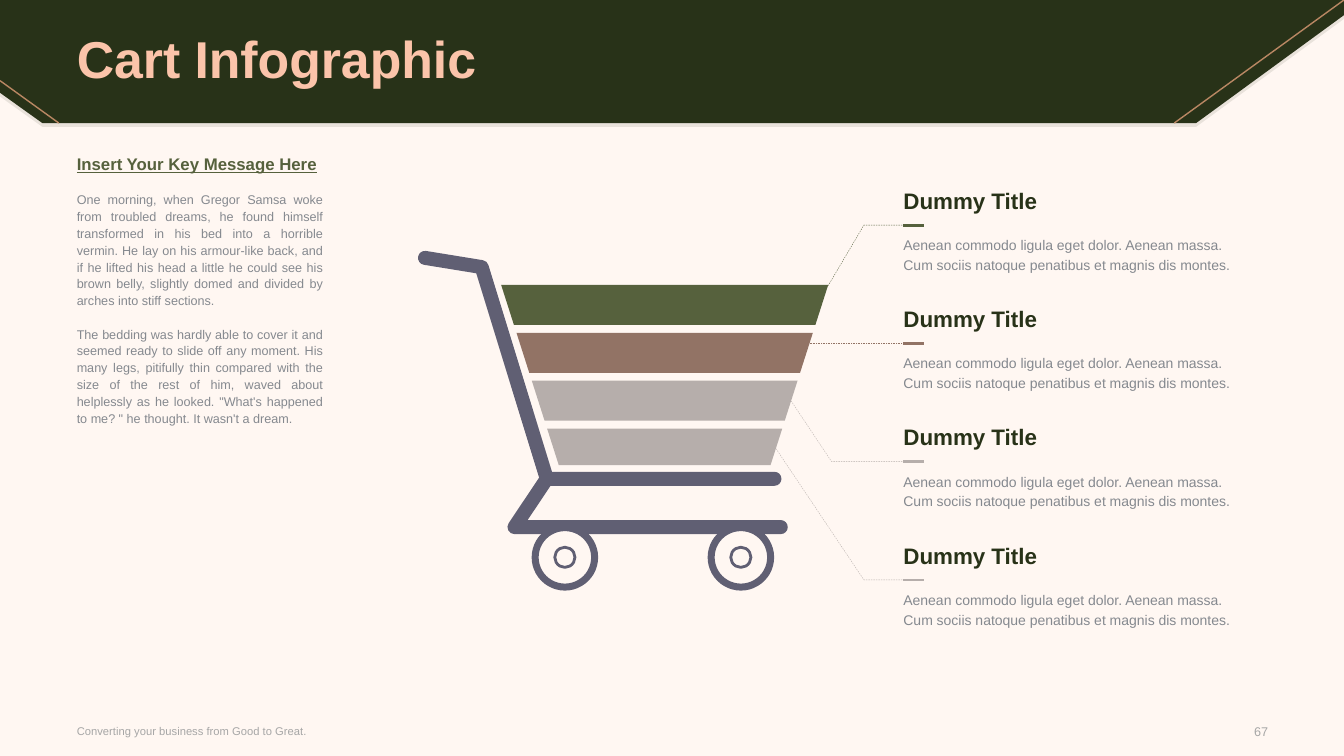
"""Build the cart infographic slide on a grid of 160 columns by 90 rows."""
from dataclasses import dataclass

from lxml.etree import SubElement
from pptx import Presentation
from pptx.dml.color import RGBColor
from pptx.enum.dml import MSO_LINE
from pptx.enum.shapes import MSO_CONNECTOR, MSO_SHAPE
from pptx.enum.text import MSO_ANCHOR, PP_ALIGN
from pptx.oxml.ns import qn
from pptx.util import Emu, Inches, Pt

COLS, ROWS = 160, 90
CELL = Inches(7.5) / ROWS

CREAM = RGBColor(0xFF, 0xF7, 0xF2)
FOREST = RGBColor(0x28, 0x32, 0x18)
PEACH = RGBColor(0xFB, 0xC4, 0xAA)
COPPER = RGBColor(0xB9, 0x87, 0x63)
MOSS = RGBColor(0x56, 0x61, 0x3D)
CLAY = RGBColor(0x92, 0x73, 0x65)
STONE = RGBColor(0xB6, 0xAE, 0xAB)
SLATE = RGBColor(0x60, 0x5F, 0x73)
GREY = RGBColor(0x85, 0x89, 0x8F)
PALE = RGBColor(0xA6, 0xA6, 0xA6)

Point = tuple[float, float]


@dataclass
class Style:
    size: float
    color: RGBColor
    bold: bool = False
    under: bool = False
    align: PP_ALIGN = PP_ALIGN.LEFT
    lead: float | Pt | None = None
    gap: float = 0


@dataclass
class Item:
    color: RGBColor
    deep: float
    bends: list[Point]


@dataclass
class Ring:
    radius: float
    weight: float


LEFT = 9.14
RULE, PITCH = 26.8, 14.08
TEXT_X, TEXT_W = 107.55, 44.3
LEAD_X = 109.5
BAND_Y, BAND_STEP, SLOPE = 33.93, 5.7, 0.32
BAND_L, BAND_R = 59.67, 98.6

ITEMS = [
    Item(MOSS, 4.76, [(102.85, 0), (98.6, 7.2)]),
    Item(CLAY, 4.76, [(96.4, 0)]),
    Item(STONE, 4.76, [(99, 0), (94.2, -7.2)]),
    Item(STONE, 4.35, [(102.85, 0), (92.4, -15.6)]),
]
FRAME = [
    [(50.6, 30.7), (57.35, 31.8), (65.1, 57), (92.2, 57)],
    [(65.1, 57), (61.25, 62.75), (92.95, 62.75)],
]
WHEELS = [(67.25, 66.35), (88.2, 66.35)]
RINGS = [Ring(3.54, 5), Ring(1.2, 2)]
BANNER = [(142.4, 14.65), (5.05, 14.65), (0, 11.05), (0, 0), (160, 0), (160, 1.8)]

TITLE = Style(37, PEACH, bold=True, lead=0.9)
KEY = Style(12, MOSS, bold=True, under=True, align=PP_ALIGN.JUSTIFY, lead=Pt(12))
STORY = Style(9, GREY, align=PP_ALIGN.JUSTIFY, lead=Pt(12), gap=12)
HEAD = Style(16, FOREST, bold=True)
NOTE = Style(10, GREY, lead=Pt(14))
FOOT = Style(8, PALE)
PAGE = Style(9, PALE, align=PP_ALIGN.RIGHT)

MORNING = (
    "One morning, when Gregor Samsa woke from troubled dreams, he found himself "
    "transformed in his bed into a horrible vermin. He lay on his armour-like back, "
    "and if he lifted his head a little he could see his brown belly, slightly domed "
    "and divided by arches into stiff sections."
)
BEDDING = (
    "The bedding was hardly able to cover it and seemed ready to slide off any moment. "
    "His many legs, pitifully thin compared with the size of the rest of him, waved "
    "about helplessly as he looked. \"What's happened to me? \" he thought. "
    "It wasn't a dream."
)
NOTES = [
    "Aenean commodo ligula eget dolor. Aenean massa.",
    "Cum sociis natoque penatibus et magnis dis montes.",
]


def cells(*counts: float) -> list[Emu]:
    """Turn grid counts into lengths."""
    return [Emu(round(count * CELL)) for count in counts]


def write(slide, box: tuple, lines: list[tuple[str, Style]], anchor=MSO_ANCHOR.TOP) -> None:
    """Place styled paragraphs in a box of left, top, width and height."""
    frame = slide.shapes.add_textbox(*cells(*box)).text_frame
    frame.word_wrap = True
    frame.vertical_anchor = anchor
    frame.margin_left = frame.margin_right = frame.margin_top = frame.margin_bottom = 0
    for index, (text, style) in enumerate(lines):
        para = frame.add_paragraph() if index else frame.paragraphs[0]
        para.text = text
        para.alignment = style.align
        para.line_spacing = style.lead
        para.space_before = Pt(style.gap)
        font = para.font
        font.name, font.size, font.bold = "Arial", Pt(style.size), style.bold
        font.underline = style.under
        font.color.rgb = style.color


def outline(slide, points: list[Point], closed: bool):
    """Draw a freeform through the grid points."""
    spots = [cells(*point) for point in points]
    maker = slide.shapes.build_freeform(*spots[0])
    maker.add_line_segments(spots[1:], close=closed)
    shape = maker.convert_to_shape()
    shape.shadow.inherit = False
    return shape


def area(slide, points: list[Point], color: RGBColor):
    """Draw a filled outline without a border."""
    shape = outline(slide, points, True)
    shape.fill.solid()
    shape.fill.fore_color.rgb = color
    shape.line.fill.background()
    return shape


def stroke(slide, points: list[Point], color: RGBColor, weight: float, dash=None):
    """Draw a straight connector, or an open outline if there are bends."""
    if len(points) == 2:
        shape = slide.shapes.add_connector(
            MSO_CONNECTOR.STRAIGHT, *cells(*points[0], *points[1]))
        SubElement(shape._element.spPr, qn("a:effectLst"))
    else:
        shape = outline(slide, points, False)
        shape.fill.background()
    shape.line.color.rgb = color
    shape.line.width = Pt(weight)
    if dash:
        shape.line.dash_style = dash
    return shape


def banner(slide) -> None:
    """Draw the header with its soft shadow and copper lines."""
    shade = area(slide, [(x, y + 0.45) for x, y in BANNER], FOREST)
    tint = shade._element.spPr.find(qn("a:solidFill"))[0]
    SubElement(tint, qn("a:alpha"), val="10000")
    area(slide, BANNER, FOREST)
    stroke(slide, [(COLS, 0), (139.8, 14.65)], COPPER, 1)
    stroke(slide, [(0, 9.6), (7, 14.65)], COPPER, 1)


def entry(slide, row: int, item: Item) -> None:
    """Draw one callout, its band and its text."""
    rule = RULE + row * PITCH
    leader = [(LEAD_X, rule)] + [(x, rule + y) for x, y in item.bends]
    stroke(slide, leader, item.color, 0.25, MSO_LINE.DASH)
    top = BAND_Y + row * BAND_STEP
    inset = SLOPE * row * BAND_STEP
    low = inset + SLOPE * item.deep
    area(slide, [(BAND_L + inset, top), (BAND_R - inset, top),
                 (BAND_R - low, top + item.deep), (BAND_L + low, top + item.deep)],
         item.color)
    stroke(slide, [(TEXT_X, rule), (TEXT_X + 2.4, rule)], item.color, 2)
    write(slide, (TEXT_X, rule - 4.55, TEXT_W, 3.24), [("Dummy Title", HEAD)])
    write(slide, (TEXT_X, rule + 1.05, TEXT_W, 4.7), [(text, NOTE) for text in NOTES])


def cart(slide) -> None:
    """Draw the frame and the wheels."""
    for points in FRAME:
        edge = stroke(slide, points, SLATE, 10).line._get_or_add_ln()
        edge.set("cap", "rnd")
        SubElement(edge, qn("a:round"))
    for x, y in WHEELS:
        for ring in RINGS:
            r = ring.radius
            disc = slide.shapes.add_shape(MSO_SHAPE.OVAL, *cells(x - r, y - r, 2 * r, 2 * r))
            disc.shadow.inherit = False
            disc.fill.solid()
            disc.fill.fore_color.rgb = CREAM
            disc.line.color.rgb = SLATE
            disc.line.width = Pt(ring.weight)


def main() -> None:
    """Build and save the slide."""
    deck = Presentation()
    deck.slide_width, deck.slide_height = cells(COLS, ROWS)
    slide = deck.slides.add_slide(deck.slide_layouts[6])
    slide.background.fill.solid()
    slide.background.fill.fore_color.rgb = CREAM
    banner(slide)
    middle = MSO_ANCHOR.MIDDLE
    write(slide, (LEFT, 0.36, 141.7, 14.04), [("Cart Infographic", TITLE)], middle)
    write(slide, (LEFT, 18.7, 29.3, 62.3),
          [("Insert Your Key Message Here", KEY), (MORNING, STORY), (BEDDING, STORY)])
    write(slide, (LEFT, 85.5, 62.8, 3.1),
          [("Converting your business from Good to Great.", FOOT)], middle)
    write(slide, (143.4, 85.56, 7.56, 3.1), [("67", PAGE)], middle)
    for row, item in enumerate(ITEMS):
        entry(slide, row, item)
    cart(slide)
    deck.save("out.pptx")


if __name__ == "__main__":
    main()
